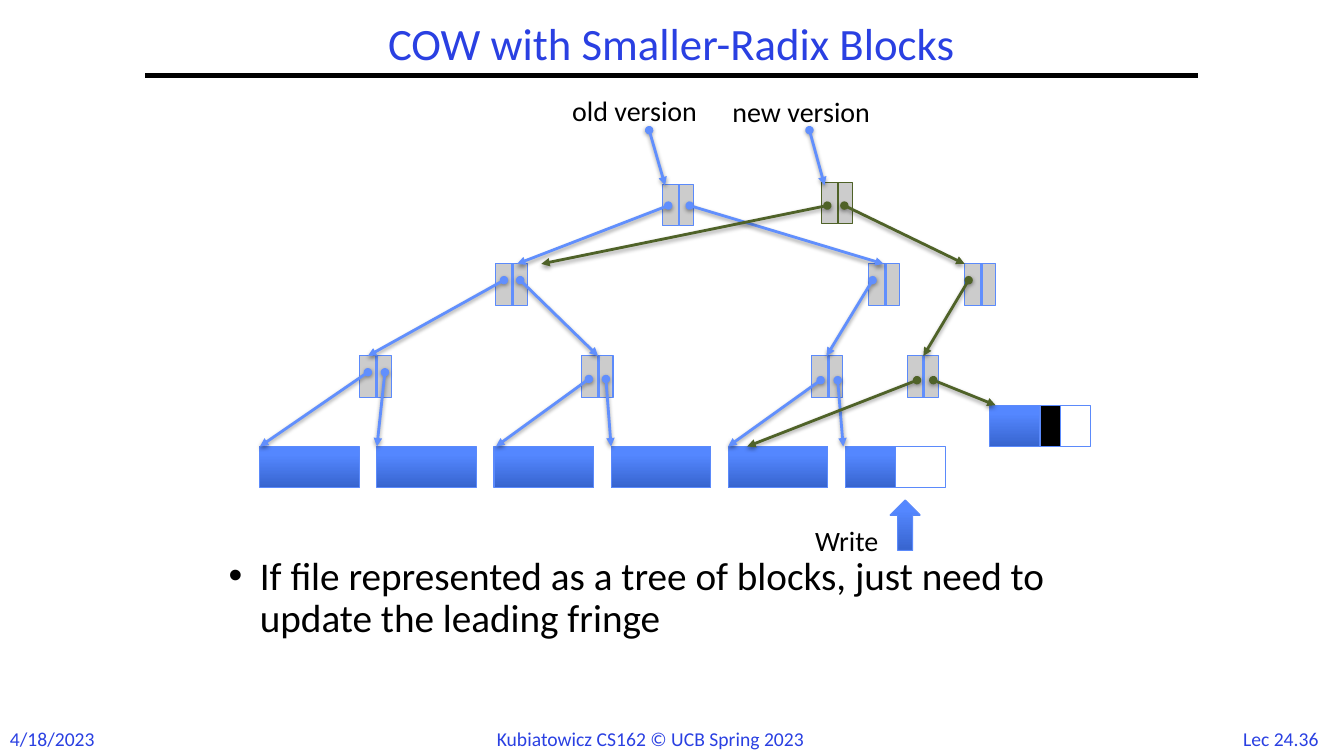
from dataclasses import dataclass

from lxml.etree import SubElement
from pptx import Presentation
from pptx.dml.color import RGBColor
from pptx.enum.shapes import MSO_CONNECTOR, MSO_SHAPE
from pptx.enum.text import MSO_ANCHOR, PP_ALIGN
from pptx.oxml import parse_xml
from pptx.oxml.ns import nsdecls, qn
from pptx.util import Cm, Pt


@dataclass(frozen=True)
class Theme:
    font: str = "Calibri"
    title_size: int = 32
    body_size: int = 28
    label_size: int = 20
    footer_size: int = 14
    heading: str = "2A40E2"
    black: str = "000000"
    white: str = "FFFFFF"
    node: str = "CCCCCC"
    outline: str = "5B8AFB"
    old: str = "618FFD"
    new: str = "4F6228"
    block_dark: str = "3764CE"
    block_light: str = "5487FF"


THEME = Theme()

# Content (positions in cm)
TITLE = "COW with Smaller-Radix Blocks"
MESSAGE = ("If file represented as a tree of blocks, just need to "
           "update the leading fringe")
FOOTERS = [  # text, left, width, alignment
    ("4/18/2023", 0, 2.72, PP_ALIGN.LEFT),
    ("Kubiatowicz CS162 © UCB Spring 2023", 12.27, 9.35, PP_ALIGN.LEFT),
    ("Lec 24.36", 30.91, 2.74, PP_ALIGN.CENTER),
]
LABELS = [  # text, left, top, width
    ("old version", 14.17, 2.24, 3.96),
    ("new version", 18.21, 2.26, 4.32),
    ("Write", 20.29, 13.06, 2.21),
]
VERSION_POINTERS = [((16.36, 3.28), (16.76, 4.67)),
                    ((20.4, 3.28), (20.78, 4.67))]

NODE_W, DIVIDER_X, ROW_H = 0.79, 0.42, 1.04
BLOCK_W, BLOCK_PITCH, HALF_BLOCK = 2.51, 2.95, 1.27
MIDDLE_TOP, LOWER_TOP, BLOCK_TOP = 6.65, 8.97, 11.25

NODES = {  # name: left, top, outline, divider colour
    "old root": (16.69, 4.65, THEME.outline, THEME.old),
    "left": (12.5, MIDDLE_TOP, THEME.outline, THEME.old),
    "old right": (21.89, MIDDLE_TOP, THEME.outline, THEME.old),
    "new right": (24.31, MIDDLE_TOP, THEME.outline, THEME.old),
    "leaf 1": (9.07, LOWER_TOP, THEME.outline, THEME.old),
    "leaf 2": (14.66, LOWER_TOP, THEME.outline, THEME.old),
    "old leaf 3": (20.45, LOWER_TOP, THEME.outline, THEME.old),
    "new leaf 3": (22.86, LOWER_TOP, THEME.outline, THEME.old),
    "new root": (20.7, 4.6, THEME.new, THEME.new),
}
BLOCKS = {f"block {n + 1}": (6.55 + n * BLOCK_PITCH, BLOCK_TOP) for n in range(6)}
BLOCKS["new block"] = (24.94, 10.21)
HALF_EMPTY = ["block 6", "new block"]

POINTERS = [  # node, colour, start depth, [(start offset, target, end offset)]
    ("old root", THEME.old, 0.53, [(0.15, "left", 0.53), (0.69, "old right", 0.38)]),
    ("left", THEME.old, 0.41, [(0.2, "leaf 1", 0.2), (0.61, "leaf 2", 0.41)]),
    ("old right", THEME.old, 0.41, [(0.1, "old leaf 3", 0.38)]),
    ("leaf 1", THEME.old, 0.41, [(0.2, "block 1", 0), (0.63, "block 2", 0)]),
    ("leaf 2", THEME.old, 0.58, [(0.18, "block 3", 0.05), (0.61, "block 4", 0)]),
    ("old leaf 3", THEME.old, 0.61, [(0.23, "block 5", 0), (0.66, "block 6", -0.05)]),
    ("new right", THEME.new, 0.41, [(0.1, "new leaf 3", 0.41)]),
    ("new leaf 3", THEME.new, 0.61, [(0.25, "block 5", 0.48), (0.66, "new block", 0.15)]),
    ("new root", THEME.new, 0.58, [(0.15, "left", 1.14), (0.58, "new right", 0)]),
]

deck = Presentation()
deck.slide_width, deck.slide_height = Cm(33.87), Cm(19.05)
slide = deck.slides.add_slide(deck.slide_layouts[5])
shapes = slide.shapes


def write(paragraph, text, size, color, align=PP_ALIGN.LEFT):
    paragraph.alignment = align
    run = paragraph.add_run()
    run.text = text
    run.font.name, run.font.size = THEME.font, Pt(size)
    run.font.color.rgb = RGBColor.from_string(color)


def add_text(text, left, top, width, height, size, color, align=PP_ALIGN.LEFT, wrap=False):
    frame = shapes.add_textbox(Cm(left), Cm(top), Cm(width), Cm(height)).text_frame
    frame.word_wrap = wrap
    write(frame.paragraphs[0], text, size, color, align)
    return frame.paragraphs[0]


def add_box(left, top, width, height, fill=None, outline=THEME.outline,
            kind=MSO_SHAPE.RECTANGLE):
    """Without a fill colour the box gets the blue data gradient."""
    box = shapes.add_shape(kind, Cm(left), Cm(top), Cm(width), Cm(height))
    box.shadow.inherit = False
    if fill:
        box.fill.solid()
        box.fill.fore_color.rgb = RGBColor.from_string(fill)
    else:
        box.fill.gradient()
        box.fill.gradient_angle = 90
        dark, light = box.fill.gradient_stops
        dark.color.rgb = RGBColor.from_string(THEME.block_dark)
        light.color.rgb = RGBColor.from_string(THEME.block_light)
        dark.position, light.position = 0, 0.8
    box.line.color.rgb = RGBColor.from_string(outline)
    box.line.width = Pt(0.75)


def add_line(start, end, color, weight=2, pointer=False):
    line = shapes.add_connector(MSO_CONNECTOR.STRAIGHT, *map(Cm, start + end))
    line.line.color.rgb = RGBColor.from_string(color)
    line.line.width = Pt(weight)
    properties = line._element.spPr
    effects = SubElement(properties, qn("a:effectLst"))
    if pointer:
        outline = properties.find(qn("a:ln"))
        SubElement(outline, qn("a:headEnd"), type="oval")
        SubElement(outline, qn("a:tailEnd"), type="triangle")
        effects.append(parse_xml(
            f'<a:outerShdw {nsdecls("a")} blurRad="{Pt(3.1)}" dist="{Pt(1.6)}" '
            'dir="5400000" rotWithShape="0"><a:srgbClr val="000000">'
            '<a:alpha val="38000"/></a:srgbClr></a:outerShdw>'))


# Title, rule and footers
title = shapes.title
title.left, title.top, title.width, title.height = map(Cm, (3.66, 0.43, 26.52, 1.47))
title.text_frame.vertical_anchor = MSO_ANCHOR.MIDDLE
heading = title.text_frame.paragraphs[0]
heading.line_spacing = 0.9
write(heading, TITLE, THEME.title_size, THEME.heading, PP_ALIGN.CENTER)
add_line((3.66, 1.9), (30.2, 1.9), THEME.black, 3)
for text, left, width, align in FOOTERS:
    add_text(text, left, 18.19, width, 0.86, THEME.footer_size, THEME.heading, align)

# Message bullet
message = add_text(MESSAGE, 5.51, 13.89, 22.86, 3.63, THEME.body_size, THEME.black, wrap=True)
message.line_spacing = 0.9
bullet = message._p.get_or_add_pPr()
bullet.set("marL", str(Cm(0.79)))
bullet.set("indent", str(Cm(-0.79)))
SubElement(bullet, qn("a:buFont"), typeface="Arial")
SubElement(bullet, qn("a:buChar"), char="•")

# Data blocks, with the newly written part in black
for left, top in BLOCKS.values():
    add_box(left, top, BLOCK_W, ROW_H)
for name in HALF_EMPTY:
    left, top = BLOCKS[name]
    add_box(left + HALF_BLOCK, top, HALF_BLOCK, ROW_H, THEME.white)
left, top = BLOCKS["new block"]
add_box(left + HALF_BLOCK, top, 0.51, ROW_H, THEME.black)
add_box(22.43, 12.6, 0.76, 1.27, kind=MSO_SHAPE.UP_ARROW)

# Tree nodes
for left, top, outline, divider in NODES.values():
    add_box(left, top, NODE_W, ROW_H, THEME.node, outline)
    middle = left + DIVIDER_X
    add_line((middle, top), (middle, top + ROW_H), divider)

# Pointers between nodes and blocks
places = {name: node[:2] for name, node in NODES.items()} | BLOCKS
for node, color, depth, targets in POINTERS:
    left, top = places[node]
    for offset, target, end_offset in targets:
        end_left, end_top = places[target]
        add_line((left + offset, top + depth), (end_left + end_offset, end_top),
                 color, pointer=True)

# Labels and version pointers
for text, left, top, width in LABELS:
    add_text(text, left, top, width, 1.12, THEME.label_size, THEME.black)
for start, end in VERSION_POINTERS:
    add_line(start, end, THEME.old, pointer=True)

deck.save("out.pptx")
